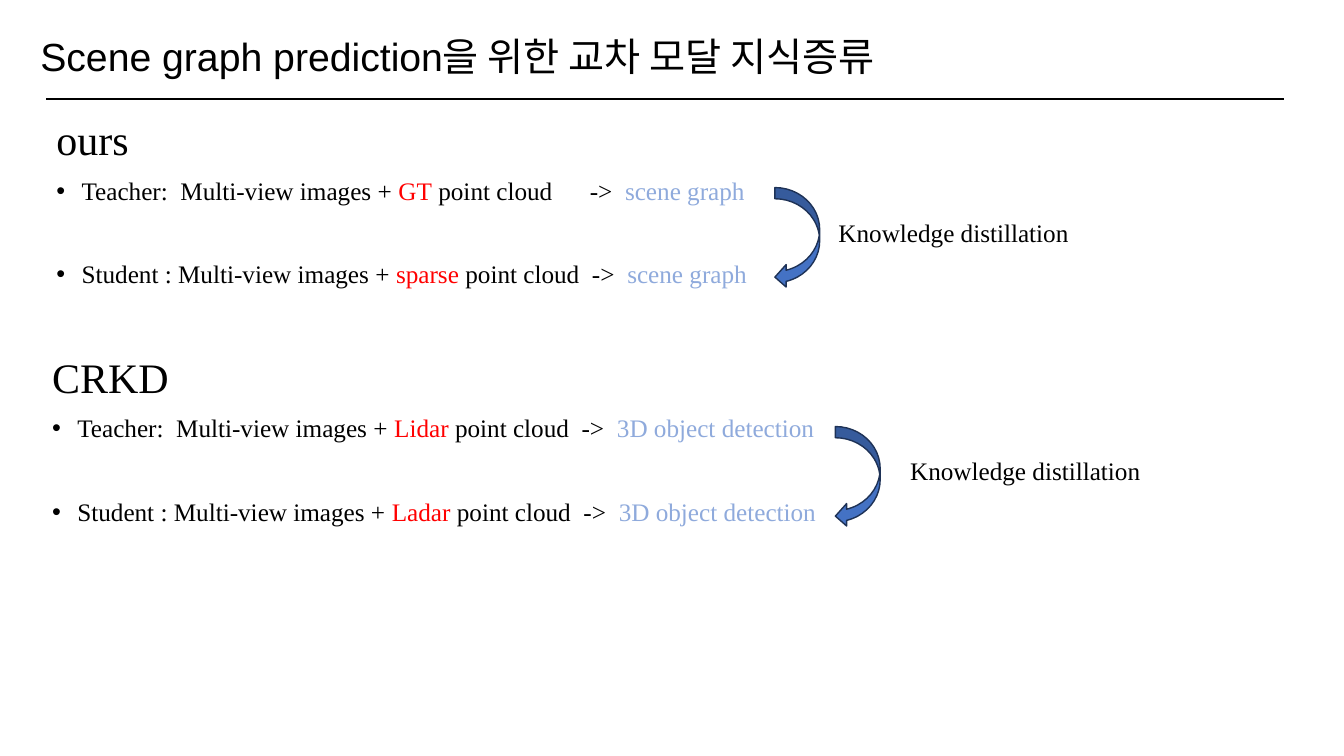
from lxml.etree import SubElement
from pptx import Presentation
from pptx.dml.color import RGBColor
from pptx.enum.shapes import MSO_CONNECTOR as Connector, MSO_SHAPE as Shape
from pptx.enum.text import MSO_ANCHOR as Anchor, MSO_AUTO_SIZE as AutoSize, PP_ALIGN as Align
from pptx.oxml.ns import qn
from pptx.util import Pt

BLACK, RED, PALE_BLUE = "000000", "FF0000", "8FAADC"
ARROW_FILL, ARROW_EDGE = "4472C4", "1E3256"


def rgb(hex_color):
    return RGBColor.from_string(hex_color)


class SlideBuilder:
    """Holds the text style and the slide being filled."""

    serif = "Times New Roman"
    sans = "Arial"
    heading_size, body_size, title_size = 30, 18, 28
    bullet_indent = 18

    def __init__(self, slide):
        self.slide = slide

    def place(self, shape, left, top, width, height):
        shape.left, shape.top = Pt(left), Pt(top)
        shape.width, shape.height = Pt(width), Pt(height)
        frame = shape.text_frame
        frame.word_wrap = True
        frame.auto_size = AutoSize.NONE
        return frame

    def style(self, paragraph, size, font=serif, line=0.9, before=10, bullet=False, tab=None):
        """Set spacing, bullet, tab stop and font, in the order the schema asks for."""
        paragraph.alignment = Align.LEFT
        paragraph.line_spacing = line
        paragraph.space_before = Pt(before)
        props = paragraph._p.get_or_add_pPr()
        indent = Pt(self.bullet_indent) if bullet else 0
        props.set("marL", str(indent))
        props.set("indent", str(-indent))
        if bullet:
            SubElement(props, qn("a:buFont"), typeface=self.sans)
            SubElement(props, qn("a:buChar"), char="•")
        else:
            SubElement(props, qn("a:buNone"))
        if tab:
            stops = SubElement(props, qn("a:tabLst"))
            SubElement(stops, qn("a:tab"), pos=str(Pt(tab)), algn="l")
        paragraph.font.name = font
        paragraph.font.size = Pt(size)
        paragraph.font.color.rgb = rgb(BLACK)

    def title(self, text, *box):
        frame = self.place(self.slide.shapes.title, *box)
        frame.vertical_anchor = Anchor.MIDDLE
        frame.text = text
        self.style(frame.paragraphs[0], self.title_size, self.sans, before=0)

    def rule(self, left, right, y):
        line = self.slide.shapes.add_connector(
            Connector.STRAIGHT, Pt(left), Pt(y), Pt(right), Pt(y))
        line.line.color.rgb = rgb(BLACK)
        line.line.width = Pt(1.5)
        SubElement(line._element.spPr, qn("a:effectLst"))

    def method(self, shape, box, heading, teacher, student, task, tab=None):
        """Fill a shape with a heading and its teacher and student pipelines."""
        frame = self.place(shape, *box)
        frame.margin_right = 0
        frame.text = heading
        self.style(frame.paragraphs[0], self.heading_size)
        roles = (("Teacher:  ", teacher, 10, tab), ("Student : ", student, 40, None))
        for role, sensor, before, stop in roles:
            pipeline = frame.add_paragraph()
            self.style(pipeline, self.body_size, before=before, bullet=True, tab=stop)
            arrow = "\t->  " if stop else "  ->  "
            for text, color in ((f"{role}Multi-view images + ", BLACK), (sensor, RED),
                                (f" point cloud{arrow}", BLACK), (task, PALE_BLUE)):
                run = pipeline.add_run()
                run.text = text
                run.font.color.rgb = rgb(color)

    def text_box(self):
        return self.slide.shapes.add_textbox(0, 0, 0, 0)

    def label(self, text, *box):
        frame = self.place(self.text_box(), *box)
        frame.text = text
        self.style(frame.paragraphs[0], self.body_size, line=0.8)

    def distillation_arrow(self, left, top):
        arrow = self.slide.shapes.add_shape(
            Shape.CURVED_DOWN_ARROW, Pt(left), Pt(top), Pt(72), Pt(32))
        arrow.rotation = 90
        arrow.shadow.inherit = False
        arrow.fill.solid()
        arrow.fill.fore_color.rgb = rgb(ARROW_FILL)
        arrow.line.color.rgb = rgb(ARROW_EDGE)
        arrow.line.width = Pt(1)


def main():
    deck = Presentation()
    deck.slide_width, deck.slide_height = Pt(960), Pt(540)
    slide = deck.slides.add_slide(deck.slide_layouts[1])
    builder = SlideBuilder(slide)

    builder.rule(33, 917, 70.5)
    builder.title("Scene graph prediction을 위한 교차 모달 지식증류", 21.6, 5.8, 677, 72)

    builder.method(slide.placeholders[1], (33.1, 81.4, 520.6, 149), "ours",
                   "GT", "sparse", "scene graph", tab=381)
    builder.distillation_arrow(533.5, 154)
    builder.label("Knowledge distillation", 591.8, 156.2, 181, 25)

    builder.method(builder.text_box(), (30.2, 251.3, 566.6, 149), "CRKD",
                   "Lidar", "Ladar", "3D object detection")
    builder.distillation_arrow(576.7, 324.7)
    builder.label("Knowledge distillation", 643, 326.2, 181, 25)

    deck.save("out.pptx")


if __name__ == "__main__":
    main()
